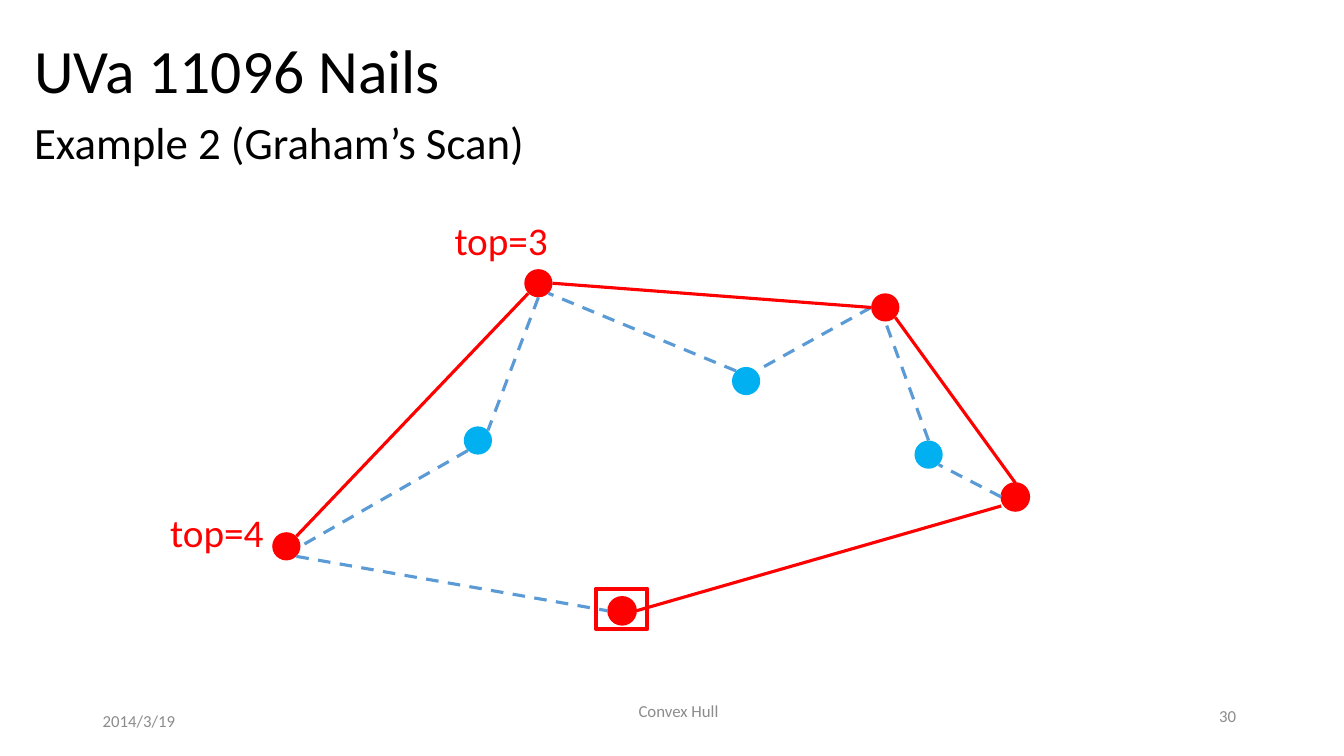
from pptx import Presentation
from pptx.dml.color import RGBColor
from pptx.enum.dml import MSO_LINE
from pptx.enum.shapes import MSO_CONNECTOR, MSO_SHAPE
from pptx.enum.text import MSO_ANCHOR, PP_ALIGN
from pptx.oxml.ns import qn
from pptx.util import Inches, Pt
from lxml import etree

STRAIGHT = MSO_CONNECTOR.STRAIGHT
OVAL, RECTANGLE = MSO_SHAPE.OVAL, MSO_SHAPE.RECTANGLE
DASH = MSO_LINE.DASH
TOP, MIDDLE = MSO_ANCHOR.TOP, MSO_ANCHOR.MIDDLE
LEFT, CENTER, RIGHT = PP_ALIGN.LEFT, PP_ALIGN.CENTER, PP_ALIGN.RIGHT

FONT = "Calibri"
COLORS = {"black": "000000", "gray": "8C8C8C", "red": "FF0000",
          "cyan": "00B0F0", "blue": "5B9BD5"}
NAIL_SIZE = 0.28

# Nail centres within the diagram box: x, y, colour, outline width
NAILS = {
    "start": (4.67, 4.06, "red", 1),
    "right": (8.57, 2.93, "red", 1),
    "inner right": (7.71, 2.51, "cyan", 0),
    "upper right": (7.28, 1.05, "red", 0),
    "inner top": (5.9, 1.78, "cyan", 0),
    "upper left": (3.84, 0.81, "red", 0),
    "inner left": (3.24, 2.37, "cyan", 0),
    "left": (1.34, 3.42, "red", 0),
}

# Points on a nail's rim, as offsets from its centre
RIM = {
    "n": (0, -0.14), "s": (0, 0.14), "w": (-0.14, 0), "e": (0.14, 0),
    "nw": (-0.1, -0.1), "ne": (0.1, -0.1), "sw": (-0.1, 0.1), "se": (0.1, 0.1),
    "wsw": (-0.14, 0.09), "wnw": (-0.14, 0),
}

SCAN_PATH = [
    ("right", "w", "inner right", "se"),
    ("inner right", "n", "upper right", "s"),
    ("upper right", "w", "inner top", "ne"),
    ("inner top", "nw", "upper left", "se"),
    ("upper left", "s", "inner left", "ne"),
    ("inner left", "sw", "left", "e"),
    ("left", "se", "start", "w"),
]
HULL = [
    ("start", "e", "right", "wsw"),
    ("upper right", "se", "right", "n"),
    ("upper left", "e", "upper right", "w"),
    ("upper left", "sw", "left", "ne"),
]


def rgb(name):
    return RGBColor.from_string(COLORS[name])


def add_text(slide, box, text, size, color, anchor=TOP, align=LEFT, spacing=None):
    frame = slide.shapes.add_textbox(*map(Inches, box)).text_frame
    frame.word_wrap = True
    frame.vertical_anchor = anchor
    paragraph = frame.paragraphs[0]
    paragraph.alignment = align
    if spacing:
        paragraph.line_spacing = spacing
    run = paragraph.add_run()
    run.text = text
    run.font.name = FONT
    run.font.size = Pt(size)
    run.font.color.rgb = rgb(color)


def add_outlined(slide, kind, box, fill, line, width):
    """Add a preset shape; no fill or no line where None or 0 is given."""
    shape = slide.shapes.add_shape(kind, *map(Inches, box))
    shape.shadow.inherit = False
    if fill:
        shape.fill.solid()
        shape.fill.fore_color.rgb = rgb(fill)
    else:
        shape.fill.background()
    if width:
        shape.line.color.rgb = rgb(line)
        shape.line.width = Pt(width)
    else:
        shape.line.fill.background()


def rim_point(box, nail, side):
    x, y = NAILS[nail][:2]
    dx, dy = RIM[side]
    return Inches(box[0] + x + dx), Inches(box[1] + y + dy)


def add_edges(slide, box, edges, color, dash=None):
    for first, first_side, second, second_side in edges:
        edge = slide.shapes.add_connector(
            STRAIGHT, *rim_point(box, first, first_side),
            *rim_point(box, second, second_side))
        edge.line.color.rgb = rgb(color)
        edge.line.width = Pt(2.25)
        if dash:
            edge.line.dash_style = dash
        etree.SubElement(edge._element.spPr, qn("a:effectLst"))


def add_heading(slide, box):
    left, top, width, height = box
    add_text(slide, (left, top, width, 1.45), "UVa 11096 Nails", 44, "black",
             MIDDLE, spacing=0.9)
    add_text(slide, (left, top + 1.09, 5.26, height - 1.09),
             "Example 2 (Graham’s Scan)", 32, "black")


def add_diagram(slide, box):
    left, top = box[:2]
    for x, y, color, outline in NAILS.values():
        corner = (left + x - NAIL_SIZE / 2, top + y - NAIL_SIZE / 2)
        add_outlined(slide, OVAL, (*corner, NAIL_SIZE, NAIL_SIZE),
                     color, color, outline)
    add_edges(slide, box, SCAN_PATH, "blue", DASH)
    add_edges(slide, box, HULL, "red")
    for text, x, y in (("top=4", 0.09, 2.99), ("top=3", 2.91, 0.1)):
        add_text(slide, (left + x, top + y, 1.33, 0.57), text, 28, "red")
    add_outlined(slide, RECTANGLE, (left + 4.41, top + 3.84, 0.51, 0.4),
                 None, "red", 3)


def add_footer(slide, box):
    left, top, width, _ = box
    add_text(slide, (left, top + 0.1, 3, 0.4), "2014/3/19", 12, "gray", MIDDLE)
    add_text(slide, (left + 3.56, top, 4.5, 0.4), "Convex Hull", 12, "gray",
             MIDDLE, CENTER)
    add_text(slide, (left + width - 3, top + 0.05, 3, 0.4), "30", 12, "gray",
             MIDDLE, RIGHT)


def main():
    presentation = Presentation()
    presentation.slide_width = Inches(13.33)
    presentation.slide_height = Inches(7.5)
    slide = presentation.slides.add_slide(presentation.slide_layouts[6])
    add_footer(slide, (0.92, 6.85, 11.44, 0.5))
    add_heading(slide, (0.24, 0, 11.5, 1.73))
    add_diagram(slide, (1.5, 2, 9, 4.3))
    presentation.save("out.pptx")


if __name__ == "__main__":
    main()
